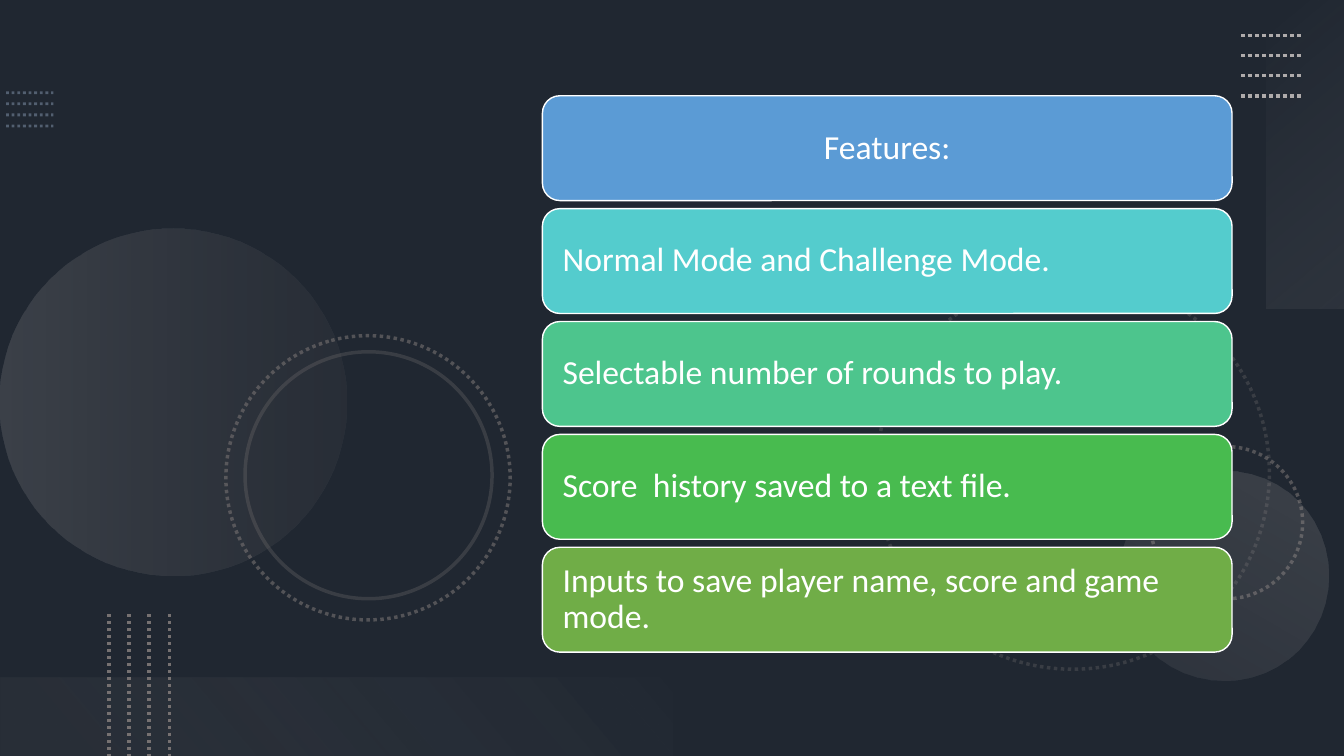
from dataclasses import dataclass

from lxml import etree
from pptx import Presentation, util as u
from pptx.dml.color import RGBColor
from pptx.enum import dml, shapes, text
from pptx.oxml import parse_xml
from pptx.oxml.ns import nsdecls, qn


@dataclass(frozen=True)
class Theme:
    background: str = "44546A"
    shade: str = "000000"
    white: str = "FFFFFF"
    mist: str = "F5F5F5"
    pale: str = "F1F0F0"
    silver: str = "AFABAB"
    grey: str = "767171"
    blue_grey: str = "8497B0"
    cards: tuple = ("5B9BD5", "54CCCD", "4DC58D", "48BB4F", "70AD47")
    font: str = "Calibri"
    card_size: int = 24


class SlideBuilder:
    def __init__(self, slide, theme):
        self.slide = slide
        self.theme = theme
        slide.background.fill.solid()
        slide.background.fill.fore_color.rgb = RGBColor.from_string(theme.background)

    def set_alpha(self, color_parent, opacity):
        """Set the opacity, in percent, of the solid colour below an element."""
        if opacity < 100:
            color = color_parent.find(".//" + qn("a:srgbClr"))
            etree.SubElement(color, qn("a:alpha"), val=str(opacity * 1000))

    def stroke(self, item, color, width, dotted=False, opacity=100):
        item.line.color.rgb = RGBColor.from_string(color)
        item.line.width = u.Pt(width)
        if dotted:
            item.line.dash_style = dml.MSO_LINE.ROUND_DOT
        self.set_alpha(item.line._get_or_add_ln(), opacity)

    def shape(self, kind, left, top, width, height, rotation=0):
        """Add a preset shape with neither fill, line nor shadow."""
        shape = self.slide.shapes.add_shape(
            kind, u.Inches(left), u.Inches(top), u.Inches(width), u.Inches(height))
        shape.rotation = rotation
        shape.shadow.inherit = False
        shape.fill.background()
        shape.line.fill.background()
        return shape

    def solid(self, shape, color, opacity=100):
        shape.fill.solid()
        shape.fill.fore_color.rgb = RGBColor.from_string(color)
        self.set_alpha(shape._element.spPr.find(qn("a:solidFill")), opacity)

    def gradient(self, shape, stops, angle):
        """Fill with (position, colour, opacity) stops, angle clockwise."""
        stop_xml = "".join(
            f'<a:gs pos="{position * 1000}"><a:srgbClr val="{color}">'
            f'<a:alpha val="{opacity * 1000}"/></a:srgbClr></a:gs>'
            for position, color, opacity in stops)
        fill = parse_xml(
            f'<a:gradFill {nsdecls("a")} rotWithShape="1"><a:gsLst>{stop_xml}</a:gsLst>'
            f'<a:lin ang="{angle * 60000}" scaled="0"/></a:gradFill>')
        properties = shape._element.spPr
        properties.replace(properties.find(qn("a:noFill")), fill)

    def circle(self, left, top, diameter, rotation):
        return self.shape(shapes.MSO_SHAPE.OVAL, left, top, diameter, diameter, rotation)

    def ring(self, left, top, diameter, rotation, dotted, opacity):
        ring = self.circle(left, top, diameter, rotation)
        self.stroke(ring, self.theme.grey, 2.5, dotted, opacity)

    def disc(self, left, top, diameter, rotation, stops):
        self.gradient(self.circle(left, top, diameter, rotation), stops, 90)

    def band(self, left, top, width, height, rotation, stops):
        band = self.shape(shapes.MSO_SHAPE.RECTANGLE, left, top, width, height, rotation)
        self.gradient(band, stops, 140)

    def dotted_lines(self, start, end, step, color, width, opacity=100):
        """Add four parallel dotted lines, each moved on by step."""
        for index in range(4):
            shift_x, shift_y = step[0] * index, step[1] * index
            line = self.slide.shapes.add_connector(
                shapes.MSO_CONNECTOR.STRAIGHT,
                u.Inches(start[0] + shift_x), u.Inches(start[1] + shift_y),
                u.Inches(end[0] + shift_x), u.Inches(end[1] + shift_y))
            self.stroke(line, color, width, True, opacity)
            etree.SubElement(line._element.spPr, qn("a:effectLst"))

    def card(self, words, top, color, alignment):
        card = self.shape(shapes.MSO_SHAPE.ROUNDED_RECTANGLE, 5.38, top, 6.84, 1.04)
        self.solid(card, color)
        self.stroke(card, self.theme.white, 1)
        frame = card.text_frame
        frame.word_wrap = True
        frame.vertical_anchor = text.MSO_ANCHOR.MIDDLE
        frame.margin_left = frame.margin_right = u.Inches(0.15)
        frame.margin_top = frame.margin_bottom = u.Inches(0.1)
        paragraph = frame.paragraphs[0]
        paragraph.alignment = alignment
        paragraph.line_spacing = 0.9
        run = paragraph.add_run()
        run.text = words
        run.font.name = self.theme.font
        run.font.size = u.Pt(self.theme.card_size)
        run.font.color.rgb = RGBColor.from_string(self.theme.white)


def draw_backdrop(builder):
    theme = builder.theme
    shade = builder.shape(shapes.MSO_SHAPE.RECTANGLE, 0, 0, 13.33, 7.5)
    builder.solid(shade, theme.shade, 53)
    builder.dotted_lines((0.06, 0.92), (0.53, 0.92), (0, 0.11), theme.blue_grey, 2, 50)

    builder.ring(8.69, 2.74, 3.9, 75, True, 30)
    builder.ring(11.41, 4.43, 1.51, 270, True, 60)
    builder.disc(0, 2.27, 3.44, 270, [(0, theme.silver, 20), (100, theme.grey, 10)])
    builder.disc(11.1, 4.67, 2.08, 210, [(0, theme.silver, 10), (100, theme.silver, 20)])
    builder.ring(2.24, 3.33, 2.82, 75, True, 60)
    builder.ring(2.43, 3.49, 2.45, 75, False, 30)

    builder.band(11.42, 1.14, 3.06, 0.78, 270,
                 [(0, theme.mist, 0), (100, theme.silver, 10)])
    builder.dotted_lines((12.31, 0.35), (12.91, 0.35), (0, 0.2), theme.silver, 2.5)
    builder.band(0, 6.72, 6.67, 0.78, 180,
                 [(10, theme.grey, 10), (100, theme.pale, 0)])
    builder.dotted_lines((1.08, 6.09), (1.08, 7.5), (0.2, 0), theme.grey, 2.5)


def draw_features(builder):
    features = (
        "Features:",
        "Normal Mode and Challenge Mode.",
        "Selectable number of rounds to play.",
        "Score  history saved to a text file.",
        "Inputs to save player name, score and game mode.",
    )
    for index, (words, color) in enumerate(zip(features, builder.theme.cards)):
        alignment = text.PP_ALIGN.LEFT if index else text.PP_ALIGN.CENTER
        builder.card(words, 0.95 + 1.12 * index, color, alignment)


def main():
    presentation = Presentation()
    presentation.slide_width = u.Inches(13.33)
    presentation.slide_height = u.Inches(7.5)
    slide = presentation.slides.add_slide(presentation.slide_layouts[6])
    builder = SlideBuilder(slide, Theme())
    draw_backdrop(builder)
    draw_features(builder)
    presentation.save("out.pptx")


if __name__ == "__main__":
    main()
